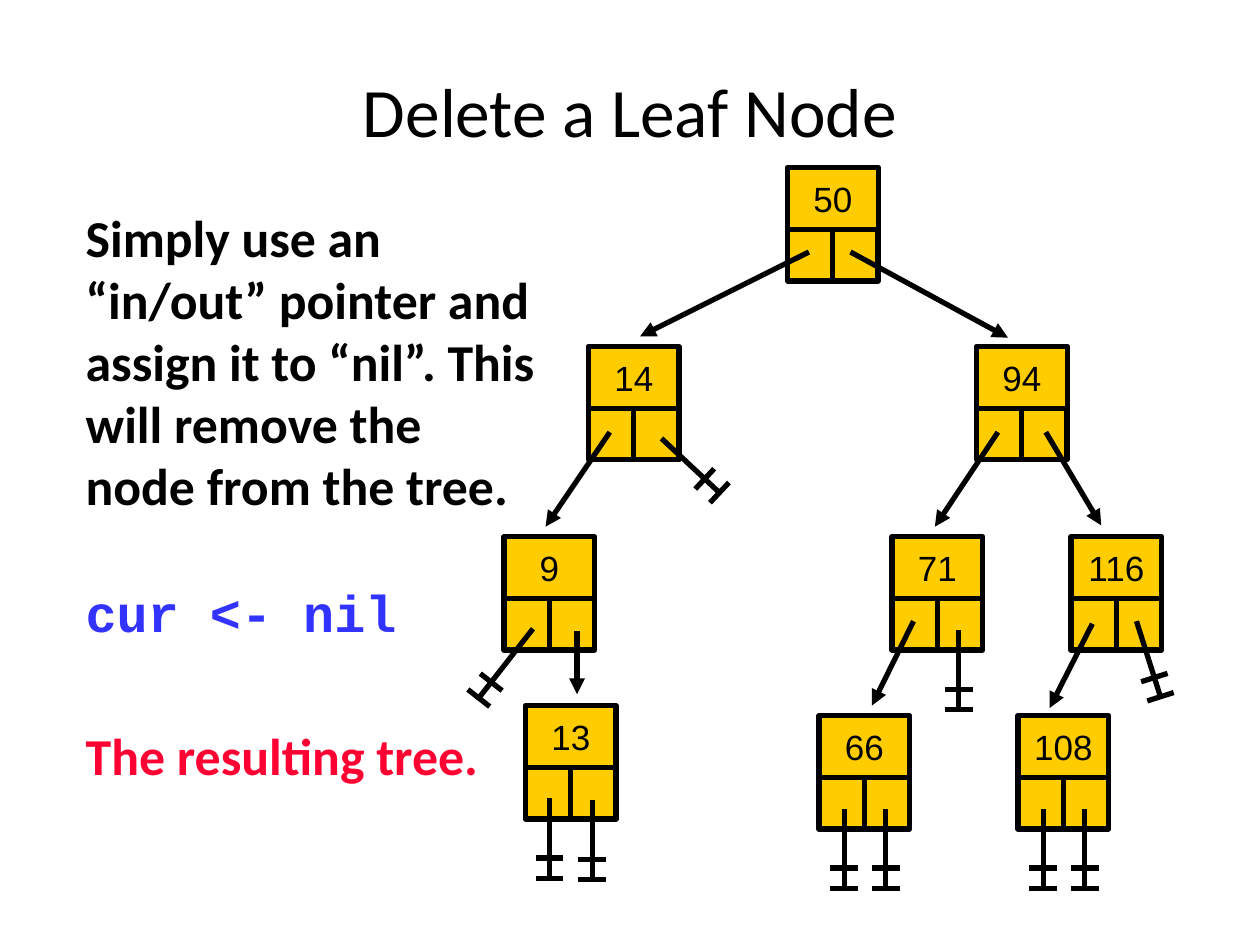
"""Build the slide on deleting a leaf node from a binary tree."""
from dataclasses import dataclass
from math import hypot

from lxml import etree
from pptx import Presentation
from pptx.dml.color import RGBColor
from pptx.enum import shapes, text
from pptx.oxml import ns
from pptx.util import Pt

SCALE = 9144
BLACK = RGBColor(0x00, 0x00, 0x00)
GOLD = RGBColor(0xFF, 0xCC, 0x00)
BLUE = RGBColor(0x33, 0x33, 0xFF)
RED = RGBColor(0xFF, 0x00, 0x33)
HEAD, HALF, FOOT = 49, 36, 41
GAP, BAR = 16, 11


@dataclass
class Node:
    key: str
    x: int
    y: int


@dataclass
class Link:
    x1: int
    y1: int
    x2: int
    y2: int


@dataclass
class Para:
    words: str
    font: str
    color: RGBColor
    before: int


NODES = [
    Node("14", 467, 275), Node("50", 625, 133), Node("94", 775, 275),
    Node("9", 400, 426), Node("71", 708, 426), Node("116", 850, 426),
    Node("108", 808, 568), Node("66", 650, 568), Node("13", 417, 560),
]
ARROWS = [
    Link(484, 343, 433, 418), Link(642, 200, 508, 267),
    Link(675, 200, 800, 268), Link(458, 501, 458, 551),
    Link(792, 343, 742, 418), Link(830, 343, 874, 417),
    Link(725, 493, 692, 560), Link(867, 495, 833, 562),
]
NILS = [
    Link(470, 635, 470, 698), Link(670, 642, 670, 705),
    Link(703, 642, 703, 705), Link(761, 500, 761, 563),
    Link(828, 642, 828, 705), Link(902, 493, 921, 553),
    Link(861, 642, 861, 705), Link(423, 499, 380, 554),
    Link(436, 633, 436, 697), Link(525, 348, 571, 391),
]
PARAS = [
    Para("Simply use an “in/out” pointer and assign it to “nil”. "
         "This will remove the node from the tree.", "Calibri", BLACK, 0),
    Para("cur <- nil", "Courier New", BLUE, 37),
    Para("The resulting tree.", "Calibri", RED, 46),
]


def px(n: float) -> int:
    return round(n * SCALE)


def place(shape, x: int, y: int, w: int, h: int) -> None:
    shape.left, shape.top, shape.width, shape.height = map(px, (x, y, w, h))


def write(para, words: str, font: str, size: float, color: RGBColor, bold: bool = False) -> None:
    run = para.add_run()
    run.text = words
    run.font.name, run.font.size, run.font.bold = font, Pt(size), bold
    run.font.color.rgb = color


def cell(group, x: int, y: int, w: int, h: int, key: str = "") -> None:
    box = group.shapes.add_shape(shapes.MSO_SHAPE.RECTANGLE, px(x), px(y), px(w), px(h))
    box.shadow.inherit = False
    box.fill.solid()
    box.fill.fore_color.rgb = GOLD
    box.line.color.rgb = BLACK
    box.line.width = Pt(3)
    if key:
        frame = box.text_frame
        frame.margin_left = frame.margin_right = 0
        frame.vertical_anchor = text.MSO_ANCHOR.MIDDLE
        frame.paragraphs[0].alignment = text.PP_ALIGN.CENTER
        write(frame.paragraphs[0], key, "Arial", 20, BLACK)


def node(slide, item: Node) -> None:
    group = slide.shapes.add_group_shape()
    low = item.y + HEAD
    for i in range(2):
        cell(group, item.x + i * HALF, low, HALF, FOOT)
    cell(group, item.x, item.y, 2 * HALF, HEAD, item.key)


def line(owner, x1: float, y1: float, x2: float, y2: float, tip: bool = False) -> None:
    link = owner.shapes.add_connector(
        shapes.MSO_CONNECTOR.STRAIGHT, px(x1), px(y1), px(x2), px(y2))
    link.line.color.rgb = BLACK
    link.line.width = Pt(3)
    if tip:
        etree.SubElement(link.line._get_or_add_ln(), ns.qn("a:tailEnd"), type="triangle")
    etree.SubElement(link._element.spPr, ns.qn("a:effectLst"))


def nil(slide, item: Link) -> None:
    group = slide.shapes.add_group_shape()
    line(group, item.x1, item.y1, item.x2, item.y2)
    dx, dy = item.x2 - item.x1, item.y2 - item.y1
    size = hypot(dx, dy)
    ux, uy = dx / size, dy / size
    for back in (GAP, 0):
        x, y = item.x2 - back * ux, item.y2 - back * uy
        line(group, x - BAR * uy, y + BAR * ux, x + BAR * uy, y - BAR * ux)


def title(slide) -> None:
    shape = slide.shapes.title
    place(shape, 75, 50, 850, 75)
    frame = shape.text_frame
    frame.auto_size = text.MSO_AUTO_SIZE.NONE
    frame.vertical_anchor = text.MSO_ANCHOR.MIDDLE
    frame.paragraphs[0].alignment = text.PP_ALIGN.CENTER
    write(frame.paragraphs[0], "Delete a Leaf Node", "Calibri", 39.6, BLACK)


def body(slide) -> None:
    shape = slide.placeholders[1]
    place(shape, 58, 158, 383, 450)
    frame = shape.text_frame
    frame.word_wrap = True
    frame.auto_size = text.MSO_AUTO_SIZE.NONE
    for i, item in enumerate(PARAS):
        para = frame.add_paragraph() if i else frame.paragraphs[0]
        props = para._p.get_or_add_pPr()
        props.set("marL", "0")
        props.set("indent", "0")
        etree.SubElement(props, ns.qn("a:buNone"))
        para.space_before = Pt(item.before)
        write(para, item.words, item.font, 29.6, item.color, True)


def main() -> None:
    deck = Presentation()
    deck.slide_width, deck.slide_height = px(1000), px(750)
    slide = deck.slides.add_slide(deck.slide_layouts[1])
    title(slide)
    body(slide)
    for item in NODES:
        node(slide, item)
    for item in ARROWS:
        line(slide, item.x1, item.y1, item.x2, item.y2, tip=True)
    for item in NILS:
        nil(slide, item)
    deck.save("out.pptx")


if __name__ == "__main__":
    main()
